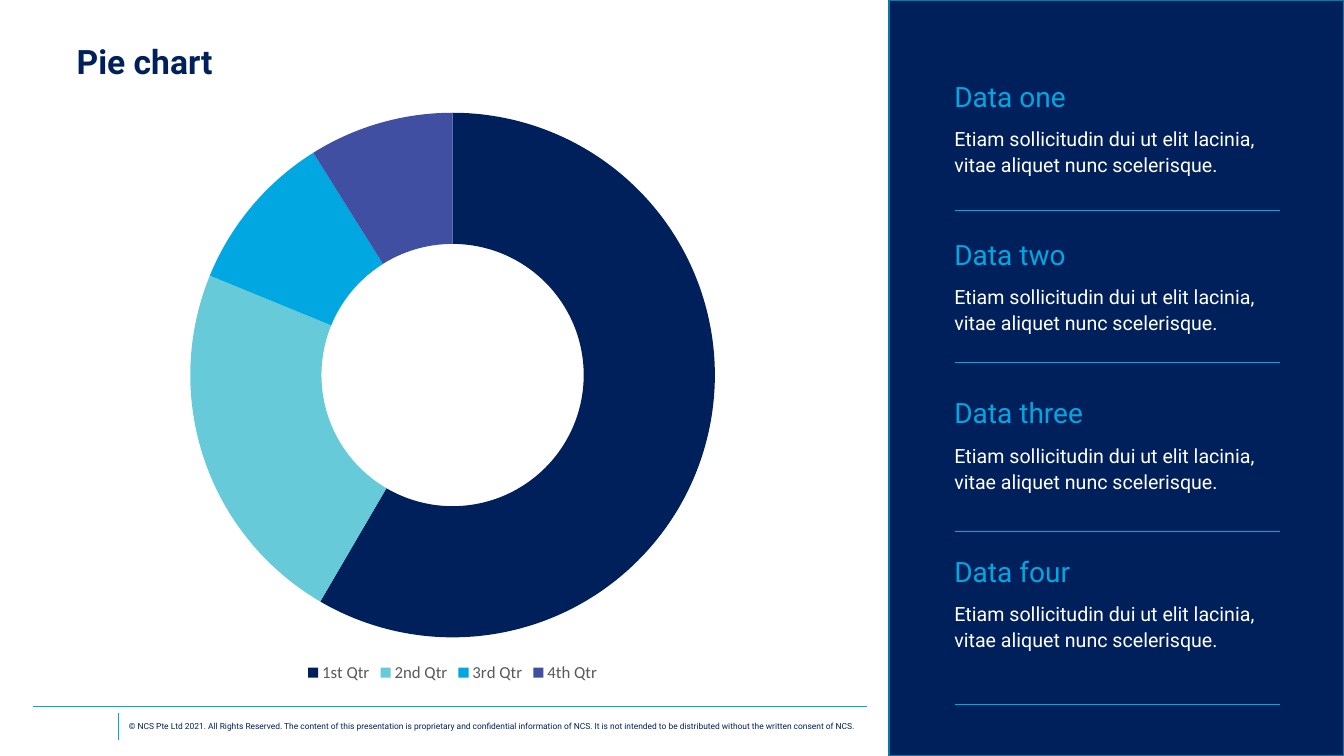
from dataclasses import dataclass

from lxml.etree import SubElement
from pptx import Presentation
from pptx.chart.data import CategoryChartData
from pptx.dml.color import RGBColor
from pptx.enum.chart import XL_CHART_TYPE as ChartType, XL_LEGEND_POSITION as LegendPosition
from pptx.enum.shapes import MSO_CONNECTOR as Connector, MSO_SHAPE as Shape
from pptx.enum.text import MSO_ANCHOR as Anchor, PP_ALIGN as Align
from pptx.oxml.ns import qn
from pptx.slide import Slide
from pptx.text.text import TextFrame
from pptx.util import Pt


@dataclass(frozen=True)
class Theme:
    navy: str = "00205C"
    cyan: str = "00A7E1"
    aqua: str = "66CAD8"
    violet: str = "404FA2"
    panel_edge: str = "007CA6"
    white: str = "FFFFFF"
    grey: str = "595959"
    text_font: str = "Roboto"
    chart_font: str = "Calibri"
    title_size: float = 24
    heading_size: float = 20
    body_size: float = 14
    legend_size: float = 12
    footer_size: float = 6


@dataclass(frozen=True)
class Rule:
    x1: float
    y1: float
    x2: float
    y2: float


@dataclass(frozen=True)
class Quarter:
    name: str
    value: float
    color: str


@dataclass(frozen=True)
class DataNote:
    heading: str
    rule_top: float


THEME = Theme()
QUARTERS = [
    Quarter("1st Qtr", 59, THEME.navy),
    Quarter("2nd Qtr", 23, THEME.aqua),
    Quarter("3rd Qtr", 10, THEME.cyan),
    Quarter("4th Qtr", 9, THEME.violet),
]
NOTES = [
    DataNote("Data one", 150.5),
    DataNote("Data two", 259.2),
    DataNote("Data three", 379.4),
    DataNote("Data four", 503.3),
]
FOOTER_RULES = [Rule(23.8, 504.7, 619.2, 504.7), Rule(85, 509, 85, 528.5)]
NOTE_BODY = "Etiam sollicitudin dui ut elit lacinia, vitae aliquet nunc scelerisque."
COPYRIGHT = (
    "© NCS Pte Ltd 2021. All Rights Reserved. The content of this presentation is "
    "proprietary and confidential information of NCS. It is not intended to be "
    "distributed without the written consent of NCS."
)
NOTE_LEFT, NOTE_TOP, NOTE_PITCH, BODY_OFFSET = 674.6, 56, 113, 29.6


def rgb(color: str) -> RGBColor:
    return RGBColor.from_string(color)


def write(frame: TextFrame, text: str, size: float, color: str,
          spacing: float = 1.0, bold: bool = False) -> None:
    frame.word_wrap = True
    para = frame.paragraphs[0]
    para.text = text
    para.alignment = Align.LEFT
    para.line_spacing = spacing
    font = para.font
    font.name, font.size, font.bold = THEME.text_font, Pt(size), bold
    font.color.rgb = rgb(color)


def add_text(page: Slide, left: float, top: float, width: float, height: float) -> TextFrame:
    return page.shapes.add_textbox(Pt(left), Pt(top), Pt(width), Pt(height)).text_frame


def add_rule(page: Slide, rule: Rule) -> None:
    line = page.shapes.add_connector(
        Connector.STRAIGHT, Pt(rule.x1), Pt(rule.y1), Pt(rule.x2), Pt(rule.y2))
    line.line.color.rgb = rgb(THEME.cyan)
    line.line.width = Pt(0.75)
    SubElement(line._element.spPr, qn("a:effectLst"))


def add_panel(page: Slide) -> None:
    panel = page.shapes.add_shape(Shape.RECTANGLE, Pt(635), Pt(0), Pt(325), Pt(540))
    panel.shadow.inherit = False
    panel.fill.solid()
    panel.fill.fore_color.rgb = rgb(THEME.navy)
    panel.line.color.rgb = rgb(THEME.panel_edge)
    panel.line.width = Pt(1)


def add_footer(page: Slide) -> None:
    for rule in FOOTER_RULES:
        add_rule(page, rule)
    frame = add_text(page, 85, 503.3, 650, 31)
    frame.vertical_anchor = Anchor.MIDDLE
    write(frame, COPYRIGHT, THEME.footer_size, THEME.navy)


def add_title(page: Slide) -> None:
    title = page.shapes.title
    title.left, title.top, title.width, title.height = Pt(47.5), Pt(28.8), Pt(425.5), Pt(67.7)
    title.text_frame.vertical_anchor = Anchor.TOP
    write(title.text_frame, "Pie chart", THEME.title_size, THEME.navy, 0.9, bold=True)


def add_doughnut(page: Slide) -> None:
    data = CategoryChartData()
    data.categories = [quarter.name for quarter in QUARTERS]
    data.add_series("Series 1", [quarter.value for quarter in QUARTERS])
    chart = page.shapes.add_chart(
        ChartType.DOUGHNUT, Pt(114.5), Pt(70.6), Pt(417.6), Pt(419.8), data).chart
    chart.has_title = False
    chart.font.name, chart.font.size = THEME.chart_font, Pt(10)
    chart.has_legend = True
    legend = chart.legend
    legend.position = LegendPosition.BOTTOM
    legend.include_in_layout = False
    legend.font.name, legend.font.size = THEME.chart_font, Pt(THEME.legend_size)
    legend.font.color.rgb = rgb(THEME.grey)

    plot = chart.plots[0]
    plot.vary_by_categories = True
    plot._element.find(qn("c:holeSize")).set("val", "59")
    for index, quarter in enumerate(QUARTERS):
        slice_format = plot.series[0].points[index].format
        slice_format.fill.solid()
        slice_format.fill.fore_color.rgb = rgb(quarter.color)
        slice_format.line.fill.background()


def add_note(page: Slide, index: int, note: DataNote) -> None:
    top = NOTE_TOP + index * NOTE_PITCH
    write(add_text(page, NOTE_LEFT, top + BODY_OFFSET, 240, 57),
          NOTE_BODY, THEME.body_size, THEME.white, 1.1)
    write(add_text(page, NOTE_LEFT, top, 283.5, 23),
          note.heading, THEME.heading_size, THEME.cyan, 0.9)
    add_rule(page, Rule(682, note.rule_top, 914.4, note.rule_top))


def main() -> None:
    deck = Presentation()
    deck.slide_width, deck.slide_height = Pt(960), Pt(540)
    page = deck.slides.add_slide(deck.slide_layouts[5])
    add_panel(page)
    add_footer(page)
    add_title(page)
    add_doughnut(page)
    for index, note in enumerate(NOTES):
        add_note(page, index, note)
    deck.save("out.pptx")


if __name__ == "__main__":
    main()
